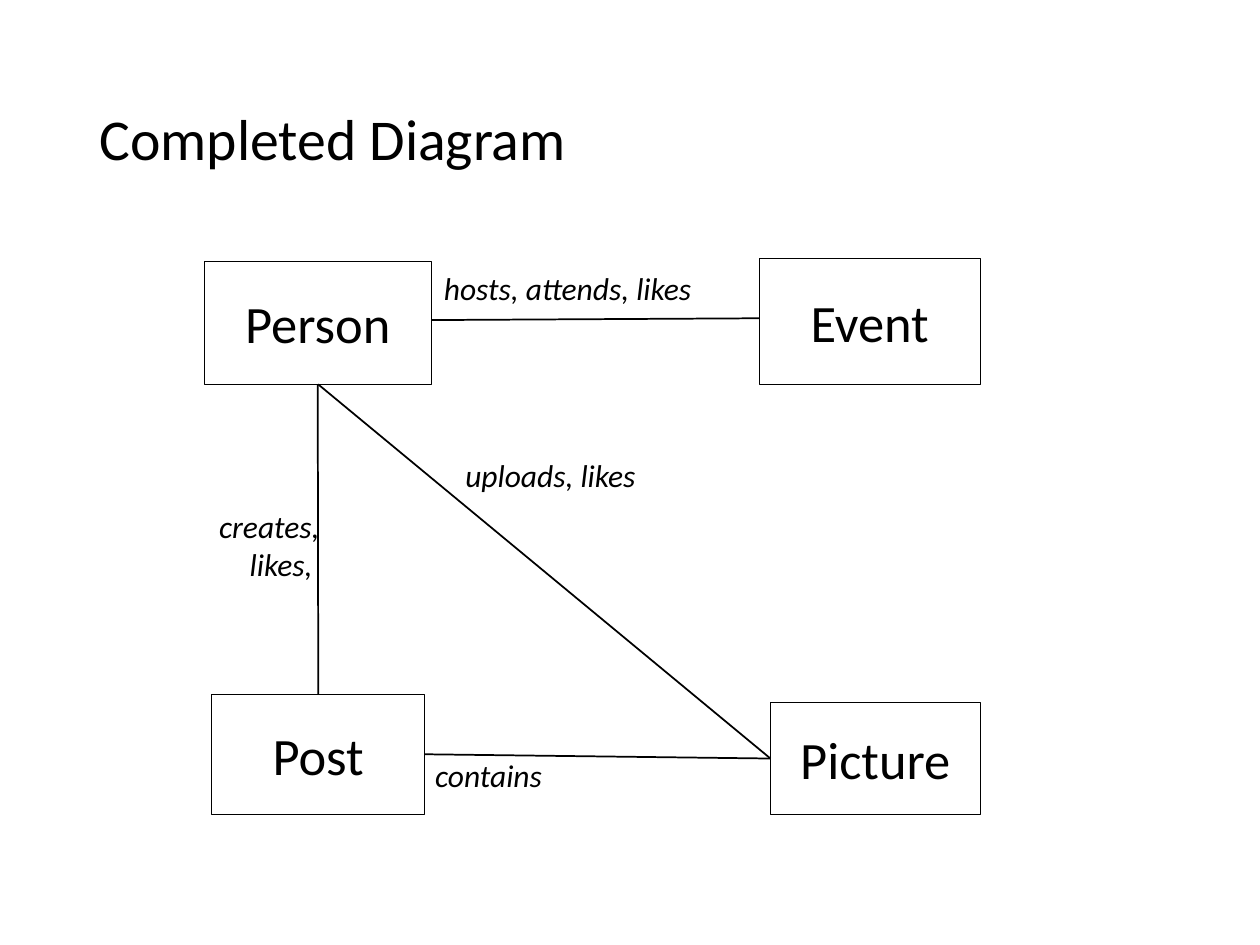
"""Build the completed entity-relationship diagram slide."""
from lxml.etree import SubElement
from pptx import Presentation
from pptx.dml.color import RGBColor
from pptx.enum.shapes import MSO_CONNECTOR, MSO_SHAPE
from pptx.enum.text import MSO_ANCHOR, MSO_AUTO_SIZE, PP_ALIGN
from pptx.oxml.ns import qn
from pptx.util import Inches, Pt

WIDTH, HEIGHT = Inches(10), Inches(7.5)
COLORS = {"ink": "000000"}
FONT = "Calibri"

ENTITIES = {
    "Person": (16.2, 27.68, 18.05, 12.98),
    "Picture": (61.15, 74.32, 16.65, 11.87),
    "Post": (16.8, 73.47, 16.9, 12.75),
    "Event": (60.25, 27.33, 17.55, 13.33),
}
RELATIONS = [
    ((25.22, 40.67), (25.26, 73.47)),
    ((34.25, 33.87), (60.25, 33.68)),
    ((25.25, 40.67), (61.15, 80.27)),
    ((33.7, 79.82), (61.15, 80.27)),
]
LABELS = [
    (["hosts, attends, likes"], (34.25, 27.82, 22.6, 5.33), PP_ALIGN.LEFT),
    (["uploads, likes"], (35.95, 47.6, 16.4, 5.33), PP_ALIGN.LEFT),
    (["creates,", "likes, "], (15.55, 52.98, 10.8, 9.47), PP_ALIGN.RIGHT),
    (["contains"], (33.55, 79.33, 11.3, 5.33), PP_ALIGN.LEFT),
]


def color(name):
    """Return a named colour."""
    return RGBColor.from_string(COLORS[name])


def share(*percents):
    """Turn alternating width and height percentages into lengths."""
    return [round((HEIGHT if i % 2 else WIDTH) * v / 100)
            for i, v in enumerate(percents)]


def write(tf, lines, size, align=PP_ALIGN.LEFT, italic=False):
    """Write each line as a paragraph with one formatted run."""
    for i, line in enumerate(lines):
        p = tf.add_paragraph() if i else tf.paragraphs[0]
        p.alignment = align
        r = p.add_run()
        r.text = line
        r.font.name, r.font.size, r.font.italic = FONT, Pt(size), italic
        r.font.color.rgb = color("ink")


def add_title(s, text):
    """Fill and place the title placeholder."""
    sp = s.shapes.title
    sp.left, sp.top, sp.width, sp.height = share(6.9, 5.33, 86.2, 19.33)
    tf = sp.text_frame
    tf.vertical_anchor = MSO_ANCHOR.MIDDLE
    tf.auto_size = MSO_AUTO_SIZE.NONE
    write(tf, [text], 33)
    tf.paragraphs[0].line_spacing = 0.9


def add_entity(s, name, box):
    """Add an outlined box holding an entity name."""
    sp = s.shapes.add_shape(MSO_SHAPE.RECTANGLE, *share(*box))
    sp.shadow.inherit = False
    sp.fill.background()
    sp.line.color.rgb, sp.line.width = color("ink"), Pt(0.5)
    sp.text_frame.vertical_anchor = MSO_ANCHOR.MIDDLE
    write(sp.text_frame, [name], 30, PP_ALIGN.CENTER)


def add_relation(s, start, end):
    """Add a straight line between two entities."""
    line = s.shapes.add_connector(MSO_CONNECTOR.STRAIGHT, *share(*start, *end))
    line.line.color.rgb, line.line.width = color("ink"), Pt(1)
    SubElement(line._element.spPr, qn("a:effectLst"))


def add_label(s, lines, box, align):
    """Add an italic relation label."""
    tf = s.shapes.add_textbox(*share(*box)).text_frame
    tf.word_wrap = False
    tf.auto_size = MSO_AUTO_SIZE.SHAPE_TO_FIT_TEXT
    write(tf, lines, 18, align, italic=True)


def main():
    """Assemble and save the slide."""
    prs = Presentation()
    prs.slide_width, prs.slide_height = WIDTH, HEIGHT
    s = prs.slides.add_slide(prs.slide_layouts[5])
    add_title(s, "Completed Diagram")
    for name, box in ENTITIES.items():
        add_entity(s, name, box)
    for start, end in RELATIONS:
        add_relation(s, start, end)
    for lines, box, align in LABELS:
        add_label(s, lines, box, align)
    prs.save("out.pptx")


main()
